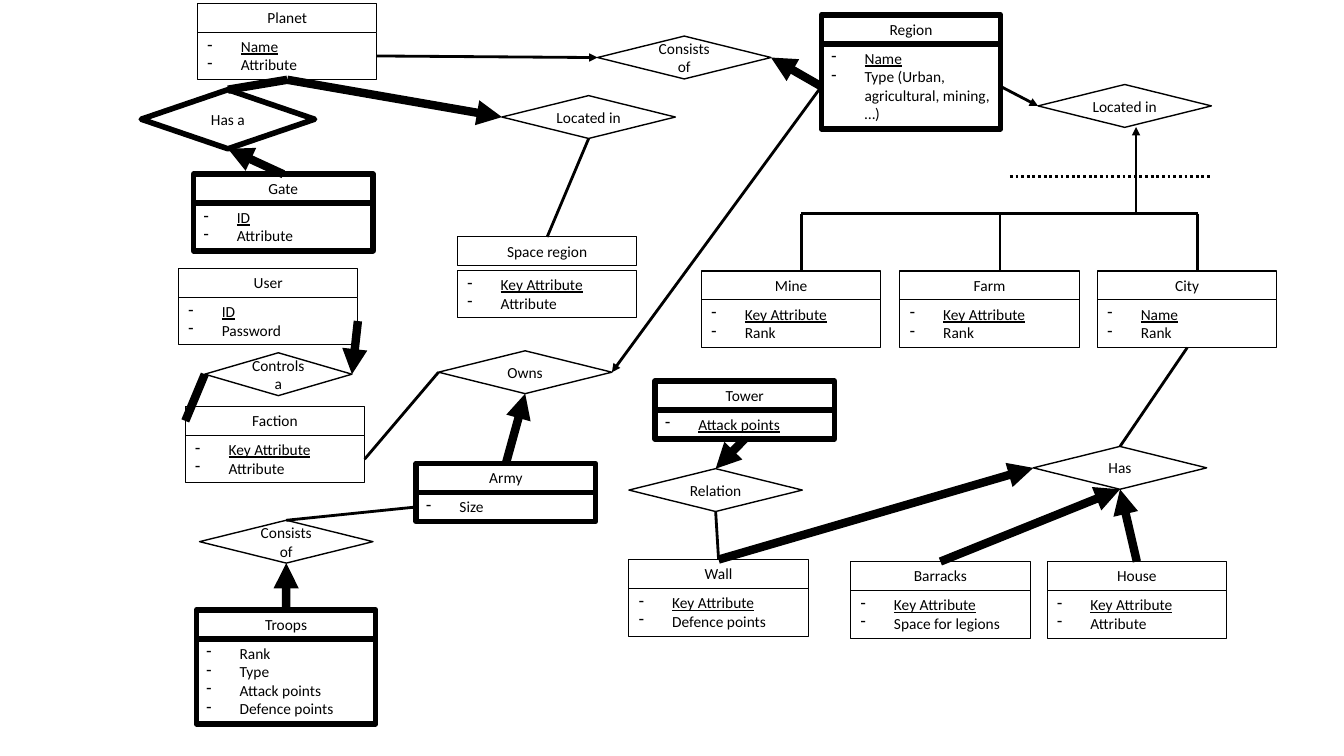
from lxml import etree
from pptx import Presentation
from pptx.dml.color import RGBColor
from pptx.enum.dml import MSO_LINE
from pptx.enum.shapes import MSO_CONNECTOR, MSO_SHAPE
from pptx.enum.text import MSO_ANCHOR, PP_ALIGN
from pptx.oxml.ns import qn
from pptx.util import Cm, Pt

RECT, DIAMOND = MSO_SHAPE.RECTANGLE, MSO_SHAPE.DIAMOND
TOP, MIDDLE = MSO_ANCHOR.TOP, MSO_ANCHOR.MIDDLE
LEFT, CENTER = PP_ALIGN.LEFT, PP_ALIGN.CENTER
STRAIGHT, DOTTED = MSO_CONNECTOR.STRAIGHT, MSO_LINE.ROUND_DOT
BLACK = RGBColor.from_string("000000")
WHITE = RGBColor.from_string("FFFFFF")
WIDTH, ROW, PAD, HEAD = 4.52, 0.47, 0.26, 0.73
THIN, THICK = 2, 6

deck = Presentation()
deck.slide_width, deck.slide_height = Cm(33.87), Cm(19.05)
slide = deck.slides.add_slide(deck.slide_layouts[6])


def add_box(kind, x, y, w, h, weight, texts, key=False, bullet=False):
    box = slide.shapes.add_shape(kind, Cm(x), Cm(y), Cm(w), Cm(h))
    box.shadow.inherit = False
    box.fill.solid()
    box.fill.fore_color.rgb = WHITE
    box.line.color.rgb = BLACK
    box.line.width = Pt(weight)
    frame = box.text_frame
    frame.vertical_anchor = TOP if kind == RECT else MIDDLE
    frame.text = "\n".join(texts)
    for index, para in enumerate(frame.paragraphs):
        para.alignment = LEFT if bullet else CENTER
        if bullet:
            props = para._p.get_or_add_pPr()
            props.set("marL", str(Cm(0.84)))
            props.set("indent", str(-Cm(0.84)))
            etree.SubElement(props, qn("a:buChar"), char="-")
        para.font.name = "Calibri"
        para.font.size = Pt(11)
        para.font.color.rgb = BLACK
        para.font.underline = key and index == 0
    return box


def add_line(weight, arrow, start=(0, 0), end=(0, 0)):
    points = [Cm(value) for value in (*start, *end)]
    line = slide.shapes.add_connector(STRAIGHT, *points)
    line.line.color.rgb = BLACK
    line.line.width = Pt(weight)
    if arrow:
        etree.SubElement(line.line._get_or_add_ln(), qn("a:tailEnd"), type="triangle")
    etree.SubElement(line._element.spPr, qn("a:effectLst"))
    return line


entities = [
    ("Planet", 4.98, 0.08, ["Name", "Attribute"]),
    ("Faction", 4.67, 10.24, ["Key Attribute", "Attribute"]),
    ("Wall", 15.85, 14.1, ["Key Attribute", "Defence points"]),
    ("Barracks", 21.44, 14.15, ["Key Attribute", "Space for legions"]),
    ("House", 26.39, 14.15, ["Key Attribute", "Attribute"]),
    ("Mine", 17.68, 6.83, ["Key Attribute", "Rank"]),
    ("Farm", 22.68, 6.83, ["Key Attribute", "Rank"]),
    ("City", 27.66, 6.83, ["Name", "Rank"]),
    ("Space region", 11.53, 5.97, ["Key Attribute", "Attribute"]),
    ("Region", 20.7, 0.38, ["Name", "Type (Urban, agricultural, mining, …)"]),
    ("Gate", 4.88, 4.39, ["ID", "Attribute"]),
    ("Army", 10.49, 11.68, ["Size"]),
    ("Troops", 4.95, 15.37, ["Rank", "Type", "Attack points", "Defence points"]),
    ("Tower", 16.51, 9.6, ["Attack points"]),
    ("User", 4.5, 6.76, ["ID", "Password"]),
]
weak = {"Region", "Gate", "Army", "Troops", "Tower"}
keyless = {"Army", "Troops"}
rows = {"Region": 4}
offsets = {"Space region": 0.84}

nodes = {}
for name, x, y, fields in entities:
    weight = 4 if name in weak else 0.75
    height = PAD + ROW * rows.get(name, len(fields))
    head = add_box(RECT, x, y, WIDTH, HEAD, weight, [name])
    body = add_box(RECT, x, y + offsets.get(name, HEAD), WIDTH, height, weight,
                   fields, name not in keyless, True)
    nodes[name] = [head, body, body, body]
nodes["Faction"][1] = nodes["Faction"][0]

relations = [
    ("planet parts", "Consists of", 15.06, 0.91, 4.37, 1.08, 1),
    ("gate", "Has a", 3.56, 2.26, 4.37, 1.49, 4),
    ("space", "Located in", 12.65, 2.41, 4.37, 1.08, 1),
    ("place", "Located in", 26.16, 2.13, 4.37, 1.08, 1),
    ("has", "Has", 26.04, 11.25, 4.37, 1.08, 1),
    ("owns", "Owns", 11.05, 8.84, 4.37, 1.08, 1),
    ("army parts", "Consists of", 5.03, 13.11, 4.37, 1.08, 1),
    ("relation", "Relation", 15.85, 11.81, 4.37, 1.08, 1),
    ("controls", "Controls a", 5.16, 8.89, 3.71, 1.08, 1),
]
for name, label, x, y, w, h, weight in relations:
    nodes[name] = [add_box(DIAMOND, x, y, w, h, weight, [label])] * 4

links = [
    ("Planet", 3, "planet parts", 1, THIN, True),
    ("Region", 1, "planet parts", 3, THICK, True),
    ("Planet", 2, "gate", 0, THICK, False),
    ("Gate", 0, "gate", 2, THICK, True),
    ("Planet", 2, "space", 1, THICK, True),
    ("Space region", 0, "space", 2, THIN, False),
    ("Region", 3, "place", 1, THIN, True),
    ("House", 0, "has", 2, THICK, True),
    ("Barracks", 0, "has", 2, THICK, True),
    ("City", 2, "has", 0, THIN, False),
    ("Wall", 0, "has", 1, THICK, True),
    ("Faction", 3, "owns", 1, THIN, False),
    ("Region", 1, "owns", 3, THIN, True),
    ("Army", 0, "owns", 2, THICK, True),
    ("Army", 1, "army parts", 0, THIN, False),
    ("Troops", 0, "army parts", 2, THICK, True),
    ("Tower", 2, "relation", 0, THICK, True),
    ("Wall", 0, "relation", 2, THIN, False),
    ("User", 3, "controls", 3, THICK, True),
    ("Faction", 1, "controls", 1, THICK, False),
]
for source, exit, target, entry, weight, arrow in links:
    line = add_line(weight, arrow)
    line.begin_connect(nodes[source][exit], exit)
    line.end_connect(nodes[target][entry], entry)

BAR = 5.38
drops = [20.19, 25.2, 30.18]
for x in drops:
    add_line(THIN, False, (x, BAR), (x, 6.83))
add_line(THIN, False, (drops[0], BAR), (drops[-1], BAR))
add_line(THIN, True, (28.63, BAR), (28.63, 3.2))
add_line(THIN, False, (25.45, 4.45), (30.53, 4.45)).line.dash_style = DOTTED

deck.save("out.pptx")
